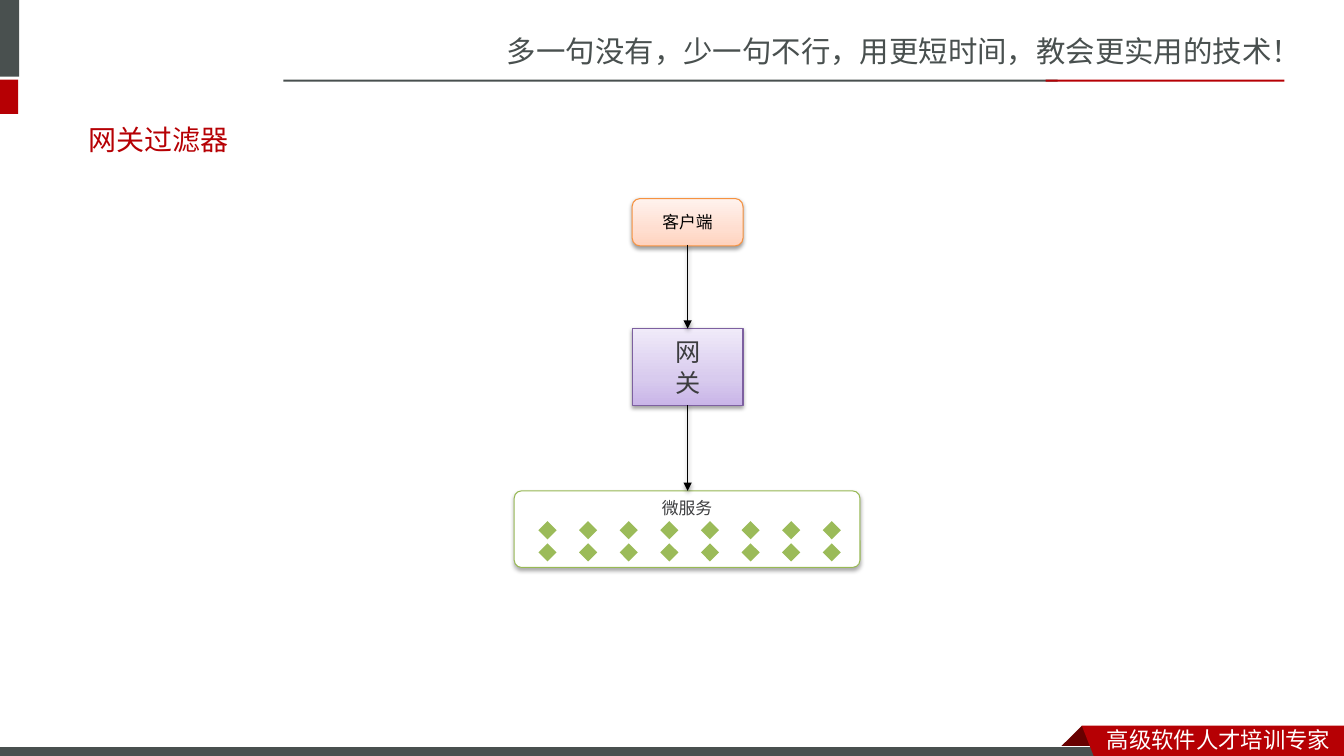
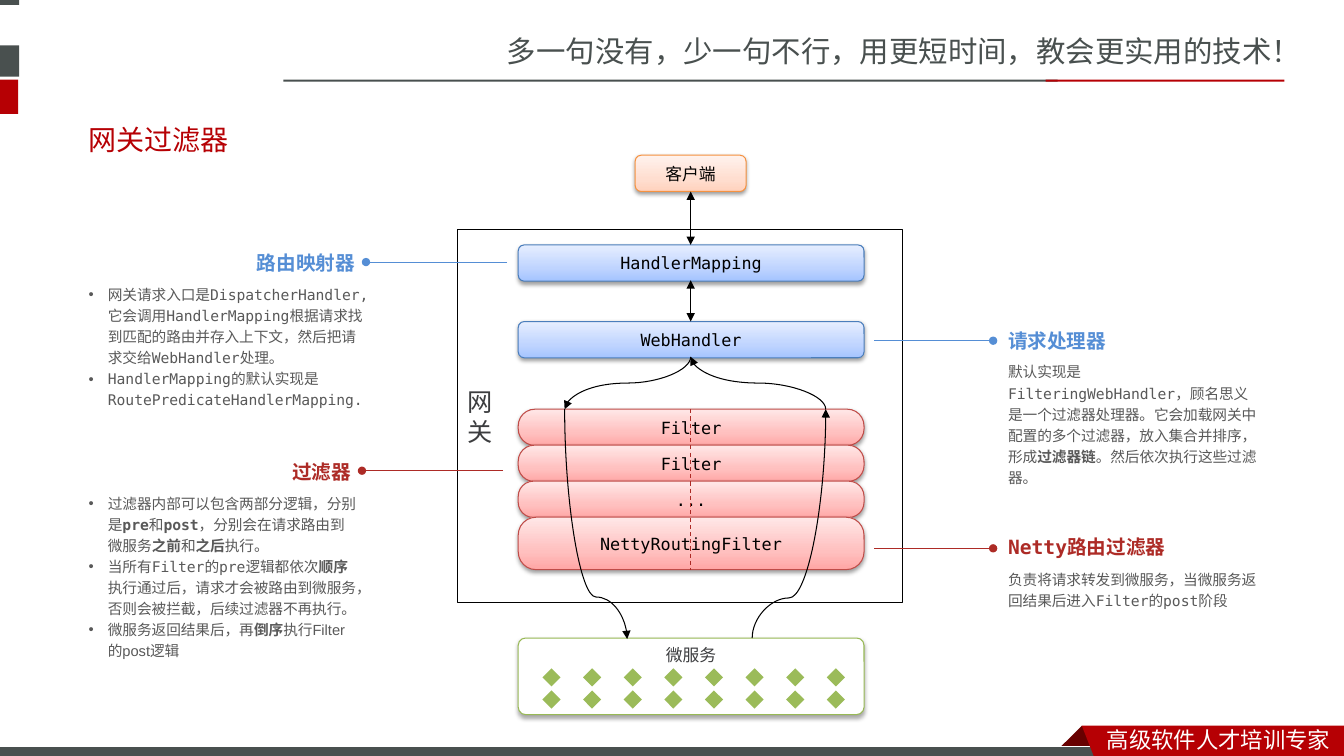
from dataclasses import dataclass

from lxml import etree
from pptx import Presentation
from pptx.dml.color import RGBColor
from pptx.enum.dml import MSO_LINE
from pptx.enum.shapes import MSO_CONNECTOR, MSO_SHAPE
from pptx.enum.text import MSO_ANCHOR, MSO_AUTO_SIZE, PP_ALIGN
from pptx.oxml import parse_xml
from pptx.oxml.ns import nsdecls, qn
from pptx.util import Inches, Pt

RECT, ROUND, DIAMOND = MSO_SHAPE.RECTANGLE, MSO_SHAPE.ROUNDED_RECTANGLE, MSO_SHAPE.DIAMOND
LEFT, CENTER, RIGHT = PP_ALIGN.LEFT, PP_ALIGN.CENTER, PP_ALIGN.RIGHT
TOP, MIDDLE = MSO_ANCHOR.TOP, MSO_ANCHOR.MIDDLE
STRAIGHT, CURVE = MSO_CONNECTOR.STRAIGHT, MSO_CONNECTOR.CURVE
DASH = MSO_LINE.DASH
NO_RESIZE = MSO_AUTO_SIZE.NONE


@dataclass(frozen=True)
class Paint:
    line: str
    stops: tuple[str, str, str]  # from the bottom to the top


@dataclass(frozen=True)
class Style:
    size: float
    color: str
    latin: str = "DejaVu Sans Mono"
    bold: bool = False


@dataclass(frozen=True)
class Theme:
    gray: str = "49504F"
    red: str = "B60004"
    fold: str = "680000"
    white: str = "FFFFFF"
    black: str = "000000"
    green: str = "9BBB59"
    green_line: str = "98B955"
    blue_note: str = "558ED5"
    red_note: str = "AD2B26"
    asian: str = "Noto Sans CJK SC"
    slogan: Style = Style(21, "49504F", "Noto Sans CJK SC")
    ribbon: Style = Style(16, "FFFFFF", "Noto Sans CJK SC")
    title: Style = Style(20, "B60004", "Calibri")
    node: Style = Style(12, "000000")
    service: Style = Style(12, "3C3D3F")
    gateway: Style = Style(18, "3C3D3F")
    note: Style = Style(10.5, "595959")
    note_arial: Style = Style(10.5, "595959", "Arial")
    orange: Paint = Paint("F69240", ("FFD2BD", "FFDED0", "FFF2ED"))
    purple: Paint = Paint("7D60A0", ("C9B5E8", "D8CBEE", "F0EAF9"))
    blue: Paint = Paint("4B7EBC", ("A4C4FF", "BFD4FF", "E6EEFF"))
    pink: Paint = Paint("BF4C48", ("FFA6A5", "FFC0BF", "FFE7E7"))


THEME = Theme()


@dataclass(frozen=True)
class Node:
    text: str
    left: float
    top: float
    width: float
    height: float
    paint: Paint
    kind: int = ROUND
    corner: float | None = None
    style: Style = THEME.node


@dataclass(frozen=True)
class Link:
    start: tuple[float, float]
    end: tuple[float, float]
    color: str = THEME.black
    head: str = ""
    tail: str = ""
    bend: float = 0  # share of the height at which a curve turns
    dash: bool = False
    shadow: bool = False


@dataclass(frozen=True)
class Heading:
    text: str
    left: float
    top: float
    color: str
    align: int


# ---- Text ----
def format_span(span, style: Style, bold: bool = False) -> None:
    span.font.size = Pt(style.size)
    span.font.bold = style.bold or bold
    span.font.color.rgb = RGBColor.from_string(style.color)
    span.font.name = style.latin
    etree.SubElement(span._r.get_or_add_rPr(), qn("a:ea")).set("typeface", THEME.asian)


def write(box, text: str, style: Style, align: int = LEFT, anchor: int = TOP) -> None:
    frame = box.text_frame
    frame.text = text
    frame.word_wrap = True
    frame.vertical_anchor = anchor
    for para in frame.paragraphs:
        para.alignment = align
        for span in para.runs:
            format_span(span, style)


def write_note(box, notes: list[tuple[str, Style]], bullets: bool = False) -> None:
    """Write paragraphs in which ** switches bold on and off."""
    frame = box.text_frame
    frame.word_wrap = True
    frame.auto_size = NO_RESIZE
    for index, (text, style) in enumerate(notes):
        para = frame.add_paragraph() if index else frame.paragraphs[0]
        para.line_spacing = 1.2
        para.space_before = Pt(0)
        for part, words in enumerate(text.split("**")):
            span = para.add_run()
            span.text = words
            format_span(span, style, bold=part % 2 == 1)
        if bullets:
            props = para._p.get_or_add_pPr()
            props.set("marL", str(Inches(0.19)))
            props.set("indent", str(Inches(-0.19)))
            etree.SubElement(props, qn("a:buFont")).set("typeface", "Arial")
            etree.SubElement(props, qn("a:buChar")).set("char", "•")


def place(box, left: float, top: float, width: float, height: float) -> None:
    box.left, box.top = Inches(left), Inches(top)
    box.width, box.height = Inches(width), Inches(height)


def add_text(page, left: float, top: float, width: float, height: float):
    return page.shapes.add_textbox(Inches(left), Inches(top), Inches(width), Inches(height))


# ---- Shapes and lines ----
def paint_flat(box, fill: str | None, line: str | None = None) -> None:
    box.shadow.inherit = False
    if fill:
        box.fill.solid()
        box.fill.fore_color.rgb = RGBColor.from_string(fill)
    else:
        box.fill.background()
    if line:
        box.line.color.rgb = RGBColor.from_string(line)
        box.line.width = Pt(0.75)
    else:
        box.line.fill.background()


def add_shape(page, kind: int, left: float, top: float, width: float, height: float,
              fill: str | None, line: str | None = None):
    box = page.shapes.add_shape(kind, Inches(left), Inches(top), Inches(width), Inches(height))
    paint_flat(box, fill, line)
    return box


def add_outline(page, points: list[tuple[float, float]], fill: str) -> None:
    corners = [(Inches(x), Inches(y)) for x, y in points]
    builder = page.shapes.build_freeform(*corners[0], scale=1.0)
    builder.add_line_segments(corners[1:], close=True)
    paint_flat(builder.convert_to_shape(), fill)


def add_shadow(effects, distance: int = 20000, alpha: int = 38000) -> None:
    effects.append(parse_xml(
        f'<a:outerShdw {nsdecls("a")} blurRad="40000" dist="{distance}" dir="5400000" rotWithShape="0">'
        f'<a:srgbClr val="{THEME.black}"><a:alpha val="{alpha}"/></a:srgbClr></a:outerShdw>'))


def add_node(page, node: Node) -> None:
    box = add_shape(page, node.kind, node.left, node.top, node.width, node.height,
                    THEME.white, node.paint.line)
    if node.corner is not None:
        box.adjustments[0] = node.corner
    stops = "".join(f'<a:gs pos="{at}"><a:srgbClr val="{color}"/></a:gs>'
                    for at, color in zip((0, 35000, 100000), node.paint.stops))
    props = box.element.spPr
    props.replace(props.find(qn("a:solidFill")), parse_xml(
        f'<a:gradFill {nsdecls("a")} rotWithShape="1"><a:gsLst>{stops}</a:gsLst>'
        '<a:lin ang="16200000" scaled="0"/></a:gradFill>'))
    add_shadow(props.find(qn("a:effectLst")))
    write(box, node.text, node.style, CENTER, MIDDLE)


def add_link(page, link: Link) -> None:
    (x1, y1), (x2, y2) = link.start, link.end
    line = page.shapes.add_connector(CURVE if link.bend else STRAIGHT,
                                     Inches(x1), Inches(y1), Inches(x2), Inches(y2))
    line.line.color.rgb = RGBColor.from_string(link.color)
    line.line.width = Pt(0.75)
    if link.dash:
        line.line.dash_style = DASH
    props = line._element.spPr
    for tag, kind in (("a:headEnd", link.head), ("a:tailEnd", link.tail)):
        if kind:
            etree.SubElement(props.find(qn("a:ln")), qn(tag)).set("type", kind)
    effects = etree.SubElement(props, qn("a:effectLst"))
    if link.shadow:
        add_shadow(effects)
    if link.bend:
        # A quarter turn makes the curve leave its start downwards
        width, height = abs(y2 - y1), abs(x2 - x1)
        place(line, (x1 + x2 - width) / 2, (y1 + y2 - height) / 2, width, height)
        frame = props.find(qn("a:xfrm"))
        for flip in ("flipH", "flipV"):
            frame.attrib.pop(flip, None)
        frame.set("rot", "16200000" if x2 > x1 else "5400000")
        if x2 > x1:
            frame.set("flipH", "1")
        guide = etree.SubElement(props.find(qn("a:prstGeom")).find(qn("a:avLst")), qn("a:gd"))
        guide.set("name", "adj1")
        guide.set("fmla", f"val {round(link.bend * 100000)}")


def add_services(page, left: float, top: float) -> None:
    box = add_shape(page, ROUND, left, top, 3.43, 0.76, THEME.white, THEME.green_line)
    box.adjustments[0] = 0.096
    add_shadow(box.element.spPr.find(qn("a:effectLst")), 23000, 35000)
    write(box, "微服务", THEME.service, CENTER)
    for row in range(2):
        for column in range(8):
            add_shape(page, DIAMOND, left + 0.24 + column * 2.82 / 7, top + 0.3 + row * 0.22,
                      0.18, 0.18, THEME.green)


# ---- Shared master ----
def build_master(deck, page) -> None:
    """Draw the bands on a page, then move them to the master."""
    write(add_text(page, 4.93, 0.28, 8.41, 0.47),
          "多一句没有，少一句不行，用更短时间，教会更实用的技术！", THEME.slogan)
    add_shape(page, RECT, -0.06, 0, 0.25, 0.76, THEME.gray)
    add_shape(page, RECT, -0.06, 0.79, 0.24, 0.34, THEME.red)
    add_shape(page, RECT, 2.81, 0.79, 7.68, 0.02, THEME.gray)
    add_shape(page, RECT, 10.37, 0.79, 2.37, 0.02, THEME.red)
    add_outline(page, [(10.73, 7.2), (10.95, 7.42), (10.94, 7.43), (10.52, 7.43), (10.51, 7.42)],
                THEME.fold)
    add_shape(page, RECT, -0.01, 7.41, 11, 0.12, THEME.gray, THEME.white)
    add_outline(page, [(10.73, 7.2), (13.33, 7.2), (13.33, 7.54), (10.86, 7.53)], THEME.red)
    write(add_text(page, 10.88, 7.15, 2.45, 0.37), "高级软件人才培训专家", THEME.ribbon)
    master = deck.slide_master
    bands = [box for box in page.shapes if not box.is_placeholder]
    for number, box in enumerate(bands, start=100):
        box.element.nvSpPr.cNvPr.set("id", str(number))
        master.shapes.element.append(box.element)
    place(master.placeholders[0], 0.78, 1.1, 11.7, 0.57)


def set_title(page) -> None:
    write(page.shapes.title, "网关过滤器", THEME.title, LEFT, MIDDLE)
    page.shapes.title.text_frame.auto_size = NO_RESIZE


# ---- Pages ----
def build_overview(page) -> None:
    set_title(page)
    add_node(page, Node("客户端", 6.27, 1.97, 1.1, 0.47, THEME.orange))
    add_node(page, Node("网\n关", 6.27, 3.26, 1.1, 0.76, THEME.purple, RECT, style=THEME.gateway))
    add_services(page, 5.1, 4.87)
    for start, end in ((2.43, 3.26), (4.02, 4.87)):
        add_link(page, Link((6.82, start), (6.82, end), tail="triangle", shadow=True))


def build_details(page) -> None:
    set_title(page)
    add_shape(page, RECT, 0, 0.05, 0.2, 0.4, THEME.white)

    # Request chain
    add_node(page, Node("客户端", 6.3, 1.54, 1.1, 0.36, THEME.orange))
    for text, top in (("HandlerMapping", 2.43), ("WebHandler", 3.19)):
        add_node(page, Node(text, 5.14, top, 3.43, 0.36, THEME.blue))
    filters = (("Filter", 0.36, 0.46), ("Filter", 0.36, 0.44),
               ("...", 0.36, 0.42), ("NettyRoutingFilter", 0.52, 0.34))
    for index, (text, height, corner) in enumerate(filters):
        add_node(page, Node(text, 5.14, 4.06 + index * 0.357, 3.43, height, THEME.pink, corner=corner))
    gateway = add_shape(page, RECT, 4.54, 2.28, 4.41, 3.7, None, THEME.black)
    write(gateway, "网\n关", THEME.gateway, LEFT, MIDDLE)
    add_services(page, 5.14, 6.33)

    # Arrows and leader lines
    arrow, dot = "triangle", "oval"
    links = (
        Link((6.85, 1.9), (6.85, 2.43), head=arrow, tail=arrow),
        Link((6.85, 2.78), (6.85, 3.19), head=arrow, tail=arrow),
        Link((6.85, 3.54), (5.6, 4.06), tail=arrow, bend=0.5),
        Link((6.85, 3.54), (8.19, 4.06), head=arrow, bend=0.5),
        Link((5.6, 4.06), (6.22, 6.34), tail=arrow, bend=0.817),
        Link((8.19, 4.06), (7.46, 6.33), head=arrow, bend=0.825),
        Link((6.85, 4.06), (6.85, 5.65), THEME.red_note, dash=True),
        Link((5.03, 2.6), (3.63, 2.6), THEME.blue_note, tail=dot),
        Link((4.99, 4.67), (3.59, 4.67), THEME.red_note, tail=dot),
        Link((8.67, 3.38), (9.85, 3.38), THEME.blue_note, tail=dot),
        Link((8.67, 5.44), (9.85, 5.44), THEME.red_note, tail=dot),
    )
    for link in links:
        add_link(page, link)

    # Explanations
    headings = (
        Heading("路由映射器", 0.82, 2.44, THEME.blue_note, RIGHT),
        Heading("过滤器", 0.78, 4.51, THEME.red_note, RIGHT),
        Heading("请求处理器", 9.9, 3.21, THEME.blue_note, LEFT),
        Heading("Netty路由过滤器", 9.9, 5.26, THEME.red_note, LEFT),
    )
    for heading in headings:
        write(add_text(page, heading.left, heading.top, 2.8, 0.34), heading.text,
              Style(14, heading.color, bold=True), heading.align)
    mapping, filtering = page.placeholders[1], page.placeholders[2]
    place(mapping, 0.78, 2.75, 3, 1.36)
    write_note(mapping, [
        ("网关请求入口是DispatcherHandler,它会调用HandlerMapping根据请求找到匹配的路由并存入上下文，"
         "然后把请求交给WebHandler处理。", THEME.note),
        ("HandlerMapping的默认实现是RoutePredicateHandlerMapping.", THEME.note)], bullets=True)
    place(filtering, 0.78, 4.82, 2.86, 1.78)
    write_note(filtering, [
        ("过滤器内部可以包含两部分逻辑，分别是**pre**和**post**，分别会在请求路由到微服务"
         "**之前**和**之后**执行。", THEME.note),
        ("当所有Filter的pre逻辑都依次**顺序**执行通过后，请求才会被路由到微服务，否则会被拦截，"
         "后续过滤器不再执行。", THEME.note),
        ("微服务返回结果后，再**倒序**执行Filter的post逻辑", THEME.note_arial)], bullets=True)
    write_note(add_text(page, 9.9, 3.52, 2.72, 1.36), [
        ("默认实现是FilteringWebHandler，顾名思义是一个过滤器处理器。它会加载网关中配置的多个过滤器，"
         "放入集合并排序，形成**过滤器链**。然后依次执行这些过滤器。", THEME.note)])
    write_note(add_text(page, 9.9, 5.58, 2.72, 0.51), [
        ("负责将请求转发到微服务，当微服务返回结果后进入Filter的post阶段", THEME.note)])


def main() -> None:
    deck = Presentation()
    deck.slide_width, deck.slide_height = Inches(13.33), Inches(7.5)
    title_only, two_lists = deck.slide_layouts[5], deck.slide_layouts[3]
    overview = deck.slides.add_slide(title_only)
    build_master(deck, overview)
    build_overview(overview)
    build_details(deck.slides.add_slide(two_lists))
    deck.save("out.pptx")


if __name__ == "__main__":
    main()
